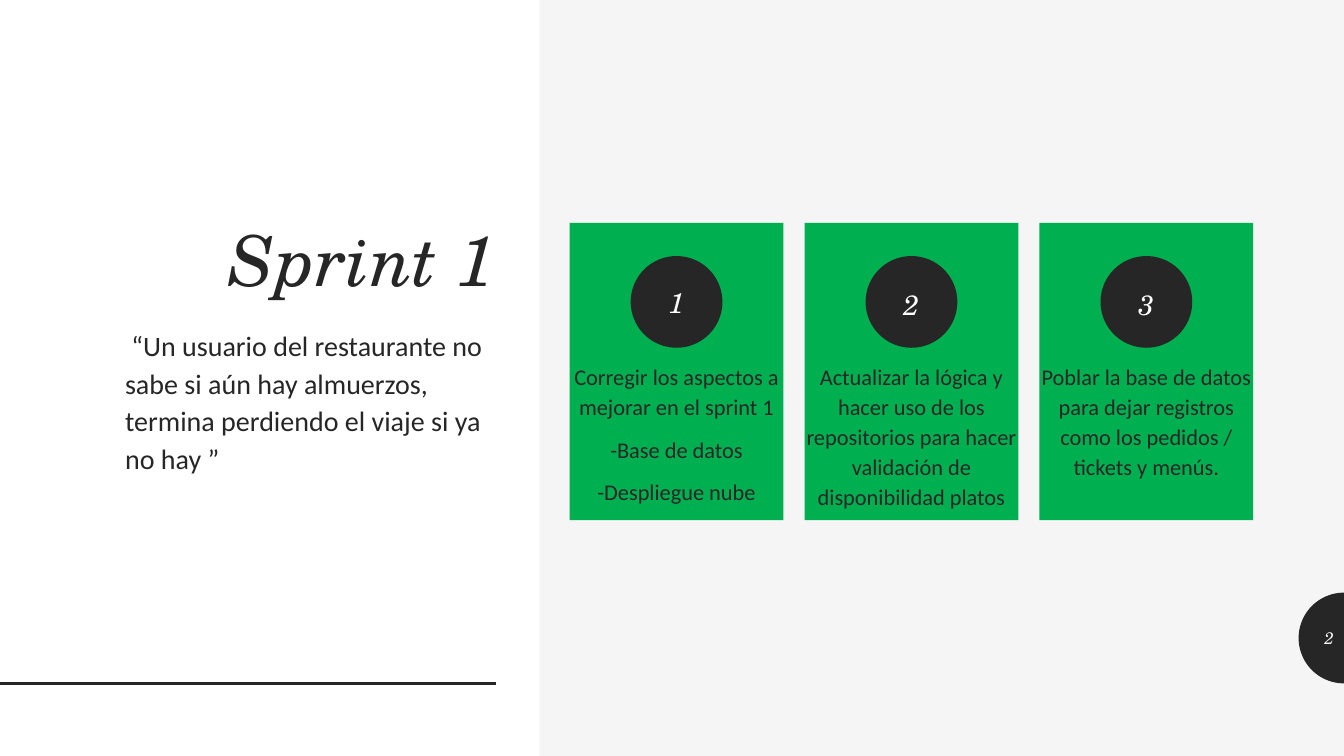
from dataclasses import dataclass
from math import cos, pi, sin

from lxml.etree import SubElement
from pptx import Presentation
from pptx.dml.color import RGBColor
from pptx.enum.shapes import MSO_CONNECTOR, MSO_SHAPE
from pptx.enum.text import MSO_ANCHOR as Anchor, MSO_AUTO_SIZE, PP_ALIGN as Align
from pptx.oxml.ns import qn
from pptx.util import Inches, Pt

COLORS = {"dark": "262626", "white": "FFFFFF", "pale": "F5F5F5", "green": "00B050"}
SANS, SERIF = "Calibri", "TeX Gyre Schola"

CARD_LEFT, CARD_TOP, CARD_STEP = 5.65, 2.21, 2.33
CARD_WIDTH, CARD_HEIGHT = 2.12, 2.95
BADGE_SIZE, BADGE_TOP = 0.91, 2.54
CARD_TEXT_INSET = 1.36
TAB_CENTER_Y, TAB_RADIUS, TAB_STEPS = 6.33, 0.45, 48
SLIDE_WIDTH, SLIDE_HEIGHT = 13.33, 7.5


@dataclass
class Card:
    """A numbered sprint goal."""
    number: str
    lines: list[str]


CARDS = [
    Card("1", ["Corregir los aspectos a mejorar en el sprint 1",
               "-Base de datos", "-Despliegue nube"]),
    Card("2", ["Actualizar la lógica y hacer uso de los repositorios "
               "para hacer validación de disponibilidad platos"]),
    Card("3", ["Poblar la base de datos para dejar registros como "
               "los pedidos / tickets y menús."]),
]


def rgb(name: str) -> RGBColor:
    """Look up a palette colour."""
    return RGBColor.from_string(COLORS[name])


def place(shape, left: float, top: float, width: float, height: float) -> None:
    """Move and size a shape, in inches."""
    shape.left, shape.top = Inches(left), Inches(top)
    shape.width, shape.height = Inches(width), Inches(height)


def paint(shape, color: str) -> None:
    """Give a shape a plain fill without outline or shadow."""
    shape.shadow.inherit = False
    shape.fill.solid()
    shape.fill.fore_color.rgb = rgb(color)
    shape.line.fill.background()


def write(shape, lines: list[str], *, size: float, font: str = SANS,
          color: str = "dark", italic: bool = False, align=Align.LEFT,
          anchor=Anchor.TOP, spacing: float = 1.0, before: float = 0,
          insets: tuple[float, float, float, float] = (0.1, 0.05, 0.1, 0.05)) -> None:
    """Write one formatted paragraph per line into a shape."""
    frame = shape.text_frame
    frame.text = "\n".join(lines)
    frame.word_wrap = True
    frame.auto_size = MSO_AUTO_SIZE.NONE
    frame.vertical_anchor = anchor
    (frame.margin_left, frame.margin_top,
     frame.margin_right, frame.margin_bottom) = map(Inches, insets)
    for paragraph in frame.paragraphs:
        paragraph.alignment = align
        paragraph.line_spacing = spacing
        paragraph.space_before = Pt(before)
        for run in paragraph.runs:
            run.font.name, run.font.size = font, Pt(size)
            run.font.italic, run.font.bold = italic, False
            run.font.color.rgb = rgb(color)


def remove_bullets(shape) -> None:
    """Clear the bullet and hanging indent of every paragraph."""
    for paragraph in shape.text_frame.paragraphs:
        properties = paragraph._p.get_or_add_pPr()
        properties.set("marL", "0")
        properties.set("indent", "0")
        SubElement(properties, qn("a:buNone"))


def add_block(slide, kind, box: tuple[float, float, float, float], color: str):
    """Add a plain preset shape."""
    shape = slide.shapes.add_shape(kind, *map(Inches, box))
    paint(shape, color)
    return shape


def add_rule(slide, width: float, top: float) -> None:
    """Draw the dark rule from the left edge."""
    rule = slide.shapes.add_connector(
        MSO_CONNECTOR.STRAIGHT, 0, Inches(top), Inches(width), Inches(top))
    rule.line.color.rgb = rgb("dark")
    rule.line.width = Pt(2)
    SubElement(rule._element.spPr, qn("a:effectLst"))


def add_page_tab(slide, number: str) -> None:
    """Draw the half disc at the right edge with the page number."""
    angles = [pi * step / TAB_STEPS for step in range(TAB_STEPS + 1)]
    points = [(Inches(SLIDE_WIDTH - TAB_RADIUS * sin(angle)),
               Inches(TAB_CENTER_Y - TAB_RADIUS * cos(angle))) for angle in angles]
    builder = slide.shapes.build_freeform(*points[0])
    builder.add_line_segments(points[1:], close=True)
    paint(builder.convert_to_shape(), "dark")
    label = slide.shapes.add_textbox(
        *map(Inches, (SLIDE_WIDTH - TAB_RADIUS, 6.13, TAB_RADIUS, 0.4)))
    write(label, [number], size=12, font=SERIF, color="pale", italic=True,
          align=Align.RIGHT, anchor=Anchor.MIDDLE)


def add_card(slide, card: Card, left: float) -> None:
    """Draw a green card with its round number badge."""
    panel = add_block(slide, MSO_SHAPE.RECTANGLE,
                      (left, CARD_TOP, CARD_WIDTH, CARD_HEIGHT), "green")
    write(panel, card.lines, size=16, align=Align.CENTER, spacing=1.12, before=9,
          insets=(0, CARD_TEXT_INSET, 0, 0))
    badge_left = left + (CARD_WIDTH - BADGE_SIZE) / 2
    badge = add_block(slide, MSO_SHAPE.OVAL,
                      (badge_left, BADGE_TOP, BADGE_SIZE, BADGE_SIZE), "dark")
    write(badge, [card.number], size=20, font=SERIF, color="white", italic=True,
          align=Align.CENTER, anchor=Anchor.MIDDLE, before=9,
          spacing=1.0 if card.number == "1" else 1.12, insets=(0, 0, 0, 0))


def main() -> None:
    """Build and save the slide."""
    presentation = Presentation()
    presentation.slide_width = Inches(SLIDE_WIDTH)
    presentation.slide_height = Inches(SLIDE_HEIGHT)
    slide = presentation.slides.add_slide(presentation.slide_layouts[1])
    slide.background.fill.solid()
    slide.background.fill.fore_color.rgb = rgb("pale")

    title, body = slide.shapes.title, slide.placeholders[1]
    side_panel = add_block(slide, MSO_SHAPE.RECTANGLE, (0, 0, 5.35, SLIDE_HEIGHT), "white")
    title._element.addprevious(side_panel._element)
    add_rule(slide, 4.92, 6.78)

    place(title, 0.83, 0.61, 4.19, 2.43)
    write(title, ["Sprint 1"], size=50, font=SERIF, italic=True,
          align=Align.RIGHT, anchor=Anchor.BOTTOM, spacing=0.9)
    place(body, 1.14, 3.17, 3.89, 3.12)
    write(body, [" “Un usuario del restaurante no sabe si aún hay almuerzos, "
                 "termina perdiendo el viaje si ya no hay ”"],
          size=20, spacing=1.12, before=9)
    remove_bullets(body)

    for index, card in enumerate(CARDS):
        add_card(slide, card, CARD_LEFT + index * CARD_STEP)
    add_page_tab(slide, "2")
    presentation.save("out.pptx")


main()
